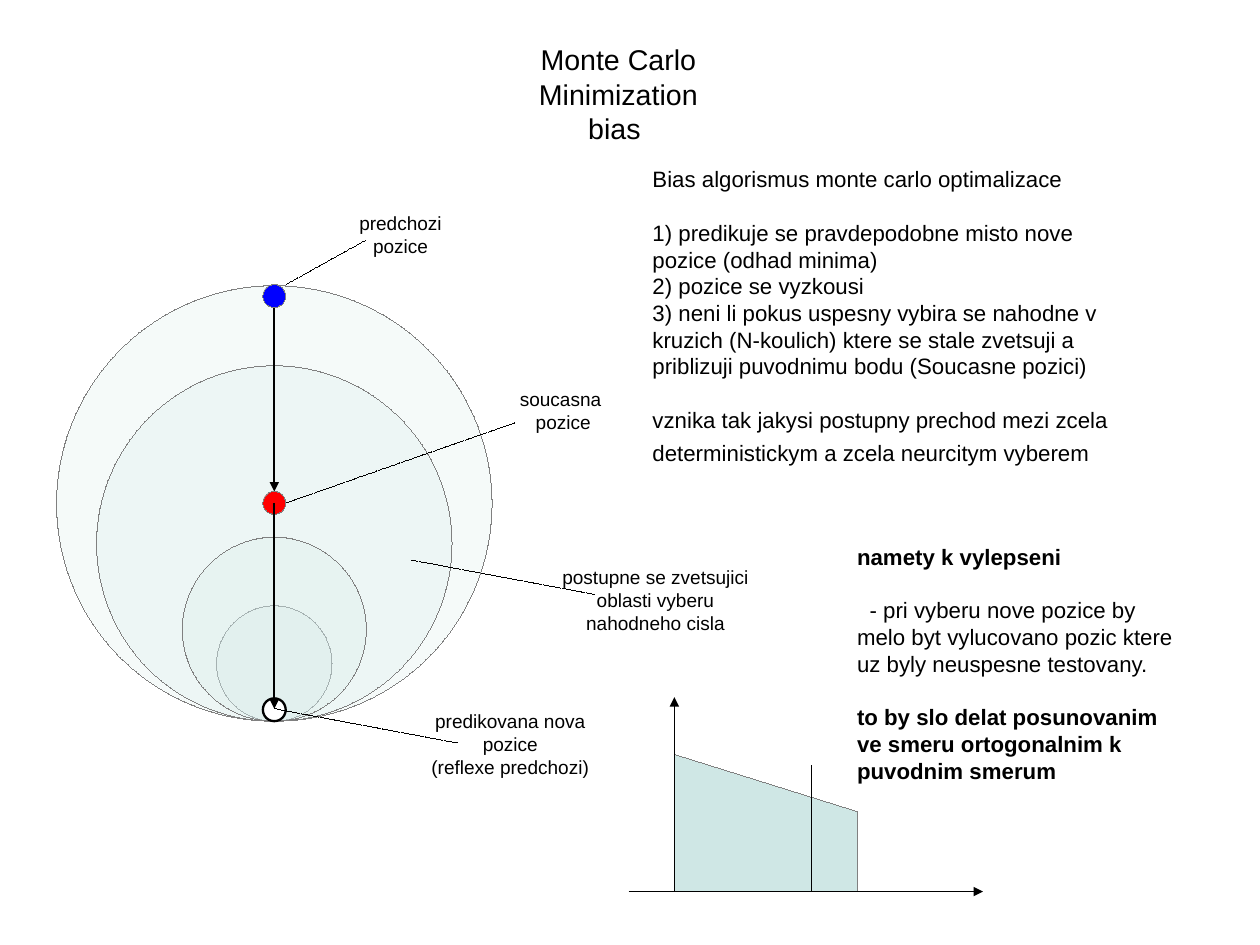
from lxml import etree
from pptx import Presentation
from pptx import util as u
from pptx.dml.color import RGBColor
from pptx.enum import dml, shapes, text
from pptx.oxml.ns import qn

BLACK = RGBColor(0, 0, 0)
WHITE = RGBColor(255, 255, 255)
GREY = RGBColor(128, 128, 128)
TEAL = RGBColor(0xCF, 0xE7, 0xE5)
RED = RGBColor(255, 0, 0)
BLUE = RGBColor(0, 0, 255)
MID = text.PP_ALIGN.CENTER
LEFT = text.PP_ALIGN.LEFT


def stroke(shape, color, width):
    """Set the outline, writing even a zero width; return its element."""
    shape.line.color.rgb = color
    edge = shape._element.spPr.find(qn("a:ln"))
    edge.set("w", str(u.Pt(width)))
    return edge


def paint(shape, fill, edge=GREY, width=0, alpha=None):
    """Set fill, outline and opacity of a shape."""
    shape.shadow.inherit = False
    shape.fill.solid()
    shape.fill.fore_color.rgb = fill
    stroke(shape, edge, width)
    if alpha:
        tint = shape._element.spPr.find(qn("a:solidFill"))[0]
        etree.SubElement(tint, qn("a:alpha"), val=str(alpha * 1000))


def disc(slide, x, y, size, fill, **style):
    """Draw a circle centred on a point."""
    box = [u.Inches(v) for v in (x - size / 2, y - size / 2, size, size)]
    paint(slide.shapes.add_shape(shapes.MSO_SHAPE.OVAL, *box), fill, **style)


def line(slide, start, end, width=0, arrow=False, dash=False):
    """Draw a straight black line."""
    ends = [u.Inches(v) for v in (*start, *end)]
    rule = slide.shapes.add_connector(shapes.MSO_CONNECTOR.STRAIGHT, *ends)
    edge = stroke(rule, BLACK, width)
    if dash:
        rule.line.dash_style = dml.MSO_LINE.SQUARE_DOT
    if arrow:
        etree.SubElement(edge, qn("a:tailEnd"), type="triangle")
    etree.SubElement(rule._element.spPr, qn("a:effectLst"))


def write(frame, paras, size, align=LEFT, wrap=True):
    """Fill a text frame, each paragraph a text with its format."""
    frame.word_wrap = wrap
    frame.auto_size = text.MSO_AUTO_SIZE.NONE
    frame.vertical_anchor = text.MSO_ANCHOR.TOP
    for i, (words, form) in enumerate(paras):
        para = frame.add_paragraph() if i else frame.paragraphs[0]
        para.alignment = align
        para.space_before = u.Pt(form.get("gap", 0))
        if "indent" in form:
            para._p.get_or_add_pPr().set("indent", str(u.Inches(form["indent"])))
        run = para.add_run()
        run.text = words
        run.font.color.rgb = BLACK
        look = {"name": "Arial", "size": u.Pt(size), "bold": form.get("bold", False)}
        for key, val in look.items():
            setattr(run.font, key, val)
    return para


def note(slide, box, paras, size, align=LEFT):
    """Place a text box."""
    area = slide.shapes.add_textbox(*[u.Inches(v) for v in box])
    return write(area.text_frame, paras, size, align)


def head(slide, box):
    """Place the title."""
    title = slide.shapes.title
    for key, val in zip(("left", "top", "width", "height"), box):
        setattr(title, key, u.Inches(val))
    lines = [("Monte Carlo Minimization", {}), ("bias ", {})]
    write(title.text_frame, lines, 18, MID, wrap=False)


def rings(slide, x, y, size):
    """Draw the nested search areas and the three positions."""
    mid, base = x + 1.91, y + size
    for wide in (1.01, size, 3.11, 1.61):
        disc(slide, mid, base - wide / 2, wide, TEAL, alpha=20)
    old, now, new = y + 0.09, y + 1.9, base - 0.1
    disc(slide, mid, new, 0.2, WHITE, edge=BLACK, width=1.45)
    line(slide, (mid, y), (mid, now - 0.1), 1.45, arrow=True)
    disc(slide, mid, now, 0.2, RED)
    disc(slide, mid, old, 0.2, BLUE)
    line(slide, (mid, now), (mid, now + 1.8), 1.45, arrow=True)


def labels(slide, x, y):
    """Place the captions and their dashed leaders."""
    items = [
        ((2.05, -0.7), (2.71, -0.4), (2.01, -0.01), ["predchozi", "pozice"]),
        ((3.45, 0.84), (4.01, 1.2), (2.01, 1.9), ["soucasna", " pozice"]),
        ((3.01, 3.66), (3.51, 4), (1.91, 3.7),
         ["predikovana nova pozice", "(reflexe predchozi)"]),
        ((4.28, 2.4), (4.71, 2.7), (3.11, 2.4),
         ["postupne se zvetsujici oblasti vyberu nahodneho cisla"]),
    ]
    for (left, top), start, end, words in items:
        note(slide, (x + left, y + top, 1.93, 0.66), [(w, {}) for w in words], 12, MID)
        line(slide, *[(x + a, y + b) for a, b in (start, end)], dash=True)


def steps(slide, box):
    """Place the description of the algorithm."""
    last = note(slide, box, [
        ("Bias algorismus monte carlo optimalizace", {}),
        ("1) predikuje se pravdepodobne misto nove pozice (odhad minima)", {"gap": 17}),
        ("2) pozice se vyzkousi", {}),
        ("3) neni li pokus uspesny vybira se nahodne v kruzich (N-koulich) ktere se "
         "stale zvetsuji a priblizuji puvodnimu bodu (Soucasne pozici)", {}),
        ("vznika tak jakysi postupny prechod mezi zcela deterministickym a zcela "
         "neurcitym vyberem", {"gap": 17}),
    ], 14)
    tail = last.add_run()
    tail.text = " "
    tail.font.size = u.Pt(18)
    tail.font.name = "Arial"


def ideas(slide, box):
    """Place the suggested improvements."""
    note(slide, box, [
        ("namety k vylepseni", {"bold": True}),
        ("- pri vyberu nove pozice by melo byt vylucovano pozic ktere uz byly "
         "neuspesne testovany.", {"gap": 17, "indent": 0.11}),
        ("to by slo delat posunovanim ve smeru ortogonalnim k puvodnim smerum",
         {"gap": 17, "bold": True}),
    ], 14)


def graph(slide, x, y):
    """Draw the sloping area with its axes from their origin."""
    pen = slide.shapes.build_freeform(u.Inches(x), u.Inches(y))
    rim = [(1.6, 0), (1.6, -0.7), (0, -1.2)]
    pen.add_line_segments([(u.Inches(x + a), u.Inches(y + b)) for a, b in rim])
    paint(pen.convert_to_shape(), TEAL)
    line(slide, (x - 0.4, y), (x + 2.7, y), arrow=True)
    line(slide, (x, y), (x, y - 1.7), arrow=True)
    line(slide, (x + 1.2, y), (x + 1.2, y - 1.1))


def main():
    """Build and save the slide."""
    deck = Presentation()
    deck.slide_width, deck.slide_height = u.Cm(28), u.Cm(21)
    slide = deck.slides.add_slide(deck.slide_layouts[5])
    head(slide, (3.9, 0.32, 3.02, 0.66))
    rings(slide, 0.49, 2.5, 3.81)
    labels(slide, 0.49, 2.5)
    steps(slide, (5.61, 1.4, 4.49, 2.56))
    ideas(slide, (7.4, 4.7, 3, 2.5))
    graph(slide, 5.9, 7.8)
    deck.save("out.pptx")


if __name__ == "__main__":
    main()
